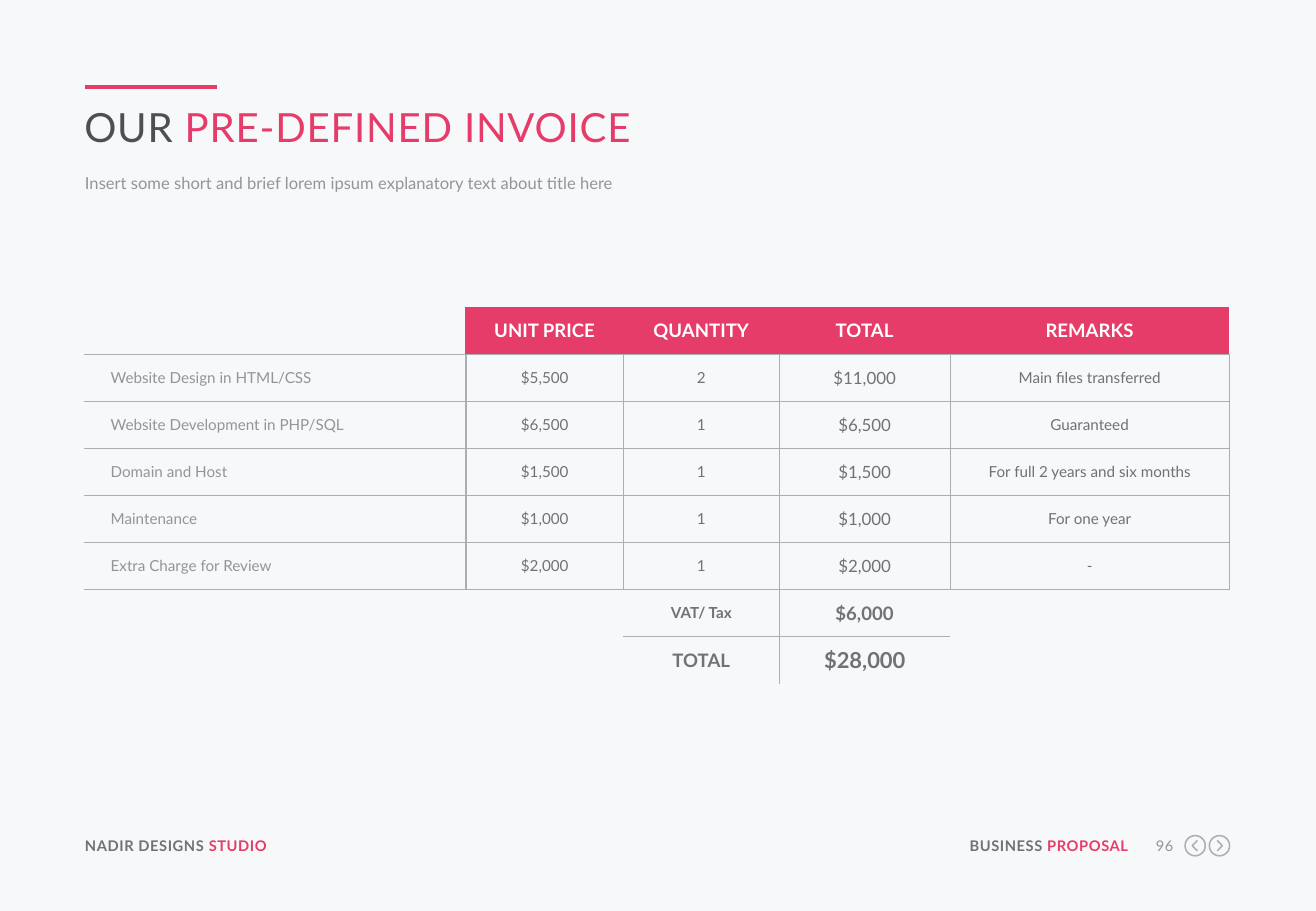
import pptx
import pptx.util
import pptx.dml.color
import pptx.enum.shapes
import pptx.enum.text
import pptx.oxml
import pptx.oxml.ns
import lxml.etree

Pt = pptx.util.Pt
RGBColor = pptx.dml.color.RGBColor
Align = pptx.enum.text.PP_ALIGN
Anchor = pptx.enum.text.MSO_ANCHOR

BACKGROUND = RGBColor(0xF6, 0xF8, 0xFA)
PINK = RGBColor(0xE6, 0x3C, 0x69)
WHITE = RGBColor(0xFF, 0xFF, 0xFF)
CHARCOAL = RGBColor(0x4B, 0x50, 0x50)
DARK_GRAY = RGBColor(0x6E, 0x73, 0x78)
GRAY = RGBColor(0x91, 0x96, 0x9B)
LINE_GRAY = RGBColor(0xAA, 0xAF, 0xB4)


def write_text(frame, runs, size, bold=False, align=Align.LEFT, spacing=0):
    """Fill the first paragraph with (text, color) runs."""
    frame.margin_left = frame.margin_top = frame.margin_right = frame.margin_bottom = 0
    frame.vertical_anchor = Anchor.TOP
    frame.word_wrap = True
    frame.auto_size = pptx.enum.text.MSO_AUTO_SIZE.NONE
    paragraph = frame.paragraphs[0]
    paragraph.alignment = align
    for text, color in runs:
        run = paragraph.add_run()
        run.text = text
        run.font.name = "Lato"
        run.font.size = Pt(size)
        run.font.bold = bold
        run.font.color.rgb = color
        run._r.get_or_add_rPr().set("spc", str(int(spacing * 100)))


def set_border(cell, side, color):
    """Draw one cell side, or clear it when color is None."""
    properties = cell._tc.get_or_add_tcPr()
    line = lxml.etree.SubElement(properties, pptx.oxml.ns.qn("a:ln" + side))
    if color is None:
        line.set("w", "0")
        lxml.etree.SubElement(line, pptx.oxml.ns.qn("a:noFill"))
    else:
        line.set("w", str(Pt(0.75)))
        fill = lxml.etree.SubElement(line, pptx.oxml.ns.qn("a:solidFill"))
        lxml.etree.SubElement(fill, pptx.oxml.ns.qn("a:srgbClr")).set("val", str(color))


presentation = pptx.Presentation()
presentation.slide_width = Pt(780)
presentation.slide_height = Pt(540)
slide = presentation.slides.add_slide(presentation.slide_layouts[5])
slide.background.fill.solid()
slide.background.fill.fore_color.rgb = BACKGROUND

# Accent line above the title
accent = slide.shapes.add_connector(
    pptx.enum.shapes.MSO_CONNECTOR.STRAIGHT, Pt(50.4), Pt(51.6), Pt(128.7), Pt(51.6))
accent.line.color.rgb = PINK
accent.line.width = Pt(2.25)
lxml.etree.SubElement(accent._element.spPr, pptx.oxml.ns.qn("a:effectLst"))

# Title and subtitle
title = slide.shapes.title
title.left, title.top, title.width, title.height = Pt(50), Pt(60.5), Pt(678), Pt(29.5)
write_text(title.text_frame, [("OUR ", CHARCOAL), ("PRE-DEFINED INVOICE", PINK)],
           23.8, spacing=0.5)

subtitle = slide.shapes.add_textbox(Pt(50.4), Pt(101), Pt(678), Pt(15))
write_text(subtitle.text_frame, [
    ("Insert some short and brief lorem ipsum explanatory text about title here", GRAY)], 9.8)
subtitle.text_frame.paragraphs[0].line_spacing = Pt(13)

# Invoice table
invoice = [
    ["", "UNIT PRICE", "QUANTITY", "TOTAL", "REMARKS"],
    ["Website Design in HTML/CSS", "$5,500", "2", "$11,000", "Main files transferred"],
    ["Website Development in PHP/SQL", "$6,500", "1", "$6,500", "Guaranteed"],
    ["Domain and Host", "$1,500", "1", "$1,500", "For full 2 years and six months"],
    ["Maintenance", "$1,000", "1", "$1,000", "For one year"],
    ["Extra Charge for Review", "$2,000", "1", "$2,000", "-"],
    ["", "", "VAT/ Tax", "$6,000", ""],
    ["", "", "TOTAL", "$28,000", ""],
]
column_widths = [226.4, 93.3, 92.4, 101.3, 165.4]
row_height = 27.9
last_item_row = 5
summary_sizes = {"VAT/ Tax": 9, "$6,000": 11, "TOTAL": 11, "$28,000": 13}

table = slide.shapes.add_table(
    len(invoice), len(column_widths), Pt(49.8), Pt(182),
    Pt(sum(column_widths)), Pt(row_height * len(invoice))).table
table.first_row = False
table.horz_banding = False
for column, width in zip(table.columns, column_widths):
    column.width = Pt(width)

for row, values in enumerate(invoice):
    table.rows[row].height = Pt(row_height)
    for column, value in enumerate(values):
        cell = table.cell(row, column)
        header = row == 0
        summary = row > last_item_row
        borders = {}
        size, color = 9, DARK_GRAY
        if header:
            size, color = 11, WHITE
            borders = {"L": PINK if column else None,
                       "R": WHITE if column == 4 else PINK, "B": LINE_GRAY}
        elif not summary:
            size = 10 if column == 3 else 9
            color = DARK_GRAY if column else GRAY
            borders = {"L": LINE_GRAY if column else None,
                       "R": LINE_GRAY, "T": LINE_GRAY, "B": LINE_GRAY}
        else:
            size = summary_sizes.get(value, 9)
            if value or row == 6:
                borders["T"] = LINE_GRAY
            if value:
                borders["R" if column == 2 else "L"] = LINE_GRAY
                borders["B"] = LINE_GRAY if row == 6 else None

        for side in "LRTB":
            set_border(cell, side, borders.get(side))
        if header and column:
            cell.fill.solid()
            cell.fill.fore_color.rgb = PINK
        else:
            cell.fill.background()

        cell.margin_left = Pt(0 if column else 15.8)
        cell.margin_right = cell.margin_top = cell.margin_bottom = 0
        cell.vertical_anchor = Anchor.MIDDLE
        paragraph = cell.text_frame.paragraphs[0]
        paragraph.alignment = Align.CENTER if column else Align.LEFT
        paragraph.font.size = Pt(size)
        if value:
            run = paragraph.add_run()
            run.text = value
            run.font.name = "Lato"
            run.font.size = Pt(size)
            run.font.bold = header or summary
            run.font.color.rgb = color

table.cell(6, 0).merge(table.cell(7, 1))
table.cell(6, 4).merge(table.cell(7, 4))

# Footer texts
footers = [
    (50.4, 152, Align.LEFT, True, [("NADIR DESIGNS ", DARK_GRAY), ("STUDIO", PINK)]),
    (570.2, 98.6, Align.RIGHT, True, [("BUSINESS ", DARK_GRAY), ("PROPOSAL", PINK)]),
    (677.5, 18, Align.RIGHT, False, [("96", GRAY)]),
]
for left, width, align, bold, runs in footers:
    footer = slide.shapes.add_textbox(Pt(left), Pt(496), Pt(width), Pt(11))
    write_text(footer.text_frame, runs, 8.7, bold, align, spacing=0.3)

# Round arrow buttons: direction -1 points left, 1 points right
for center, direction in [(708.4, -1), (722.8, 1)]:
    middle = 501.3
    ring = slide.shapes.add_shape(
        pptx.enum.shapes.MSO_SHAPE.OVAL, Pt(center - 6), Pt(middle - 6), Pt(12), Pt(12))
    back, tip = center - 1.3 * direction, center + 1.7 * direction
    builder = slide.shapes.build_freeform(Pt(back), Pt(middle - 3.1))
    builder.add_line_segments(
        [(Pt(tip), Pt(middle)), (Pt(back), Pt(middle + 3.1))], close=False)
    for shape in (ring, builder.convert_to_shape()):
        shape.shadow.inherit = False
        shape.fill.background()
        shape.line.color.rgb = LINE_GRAY
        shape.line.width = Pt(0.9)

presentation.save("out.pptx")
